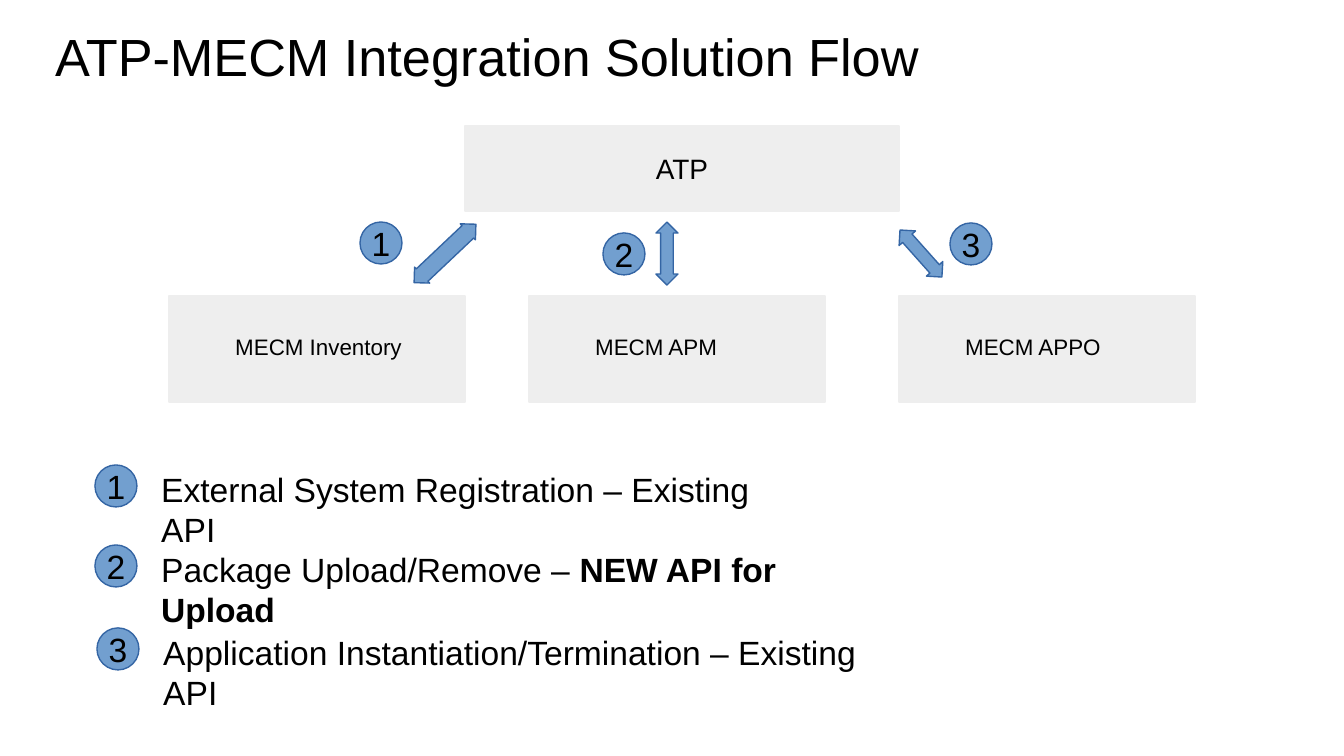
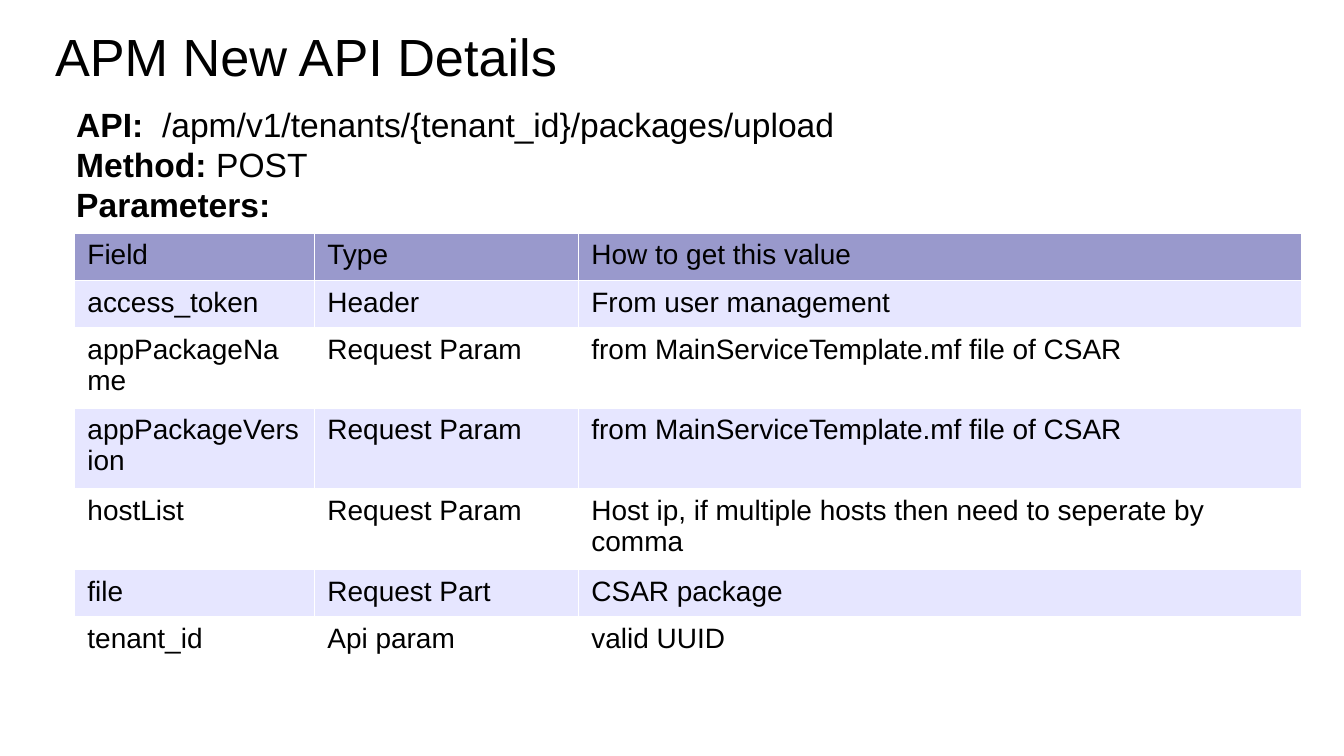
from dataclasses import dataclass
from typing import NamedTuple

from lxml.etree import SubElement
from pptx import Presentation
from pptx.dml.color import RGBColor
from pptx.enum.shapes import MSO_SHAPE
from pptx.enum.text import MSO_ANCHOR, MSO_AUTO_SIZE, PP_ALIGN
from pptx.oxml.ns import qn
from pptx.util import Emu, Pt

DPI = 134.4


def px(n: float) -> Emu:
    """Turn pixels into EMU."""
    return Emu(round(n * 914400 / DPI))


@dataclass(frozen=True)
class Theme:
    font: str = "Arial"
    ink: str = "000000"
    panel: str = "EEEEEE"
    blue: str = "729FCF"
    edge: str = "3465A4"
    head: str = "9999CC"
    band: str = "E6E6FF"
    paper: str = "FFFFFF"
    title: float = 28
    body: float = 18
    cell: float = 15
    label: float = 12
    line: float = 0.75


THEME = Theme()


class Box(NamedTuple):
    x: int
    y: int
    w: int
    h: int

    def emu(self) -> list[Emu]:
        return [px(n) for n in self]


class Span(NamedTuple):
    text: str
    bold: bool = False


class Arrow(NamedTuple):
    box: Box
    turn: float


class Badge(NamedTuple):
    num: int
    x: int
    y: int


class Step(NamedTuple):
    badge: Badge
    width: int
    spans: list[Span]


# Text and shape helpers
def style(para, size: float) -> None:
    font = para.font
    font.name, font.size = THEME.font, Pt(size)
    font.color.rgb = RGBColor.from_string(THEME.ink)


def write(frame, lines: list[list[Span]], size: float) -> None:
    for i, spans in enumerate(lines):
        para = frame.add_paragraph() if i else frame.paragraphs[0]
        style(para, size)
        for span in spans:
            run = para.add_run()
            run.text = span.text
            if span.bold:
                run.font.bold = True


def add_text(slide, box: Box, lines: list[list[Span]], size: float) -> None:
    frame = slide.shapes.add_textbox(*box.emu()).text_frame
    frame.word_wrap = True
    write(frame, lines, size)


def add_form(slide, kind: MSO_SHAPE, box: Box, fill: str, edge: str):
    form = slide.shapes.add_shape(kind, *box.emu())
    form.shadow.inherit = False
    form.fill.solid()
    form.fill.fore_color.rgb = RGBColor.from_string(fill)
    form.line.color.rgb = RGBColor.from_string(edge)
    form.line.width = Pt(THEME.line)
    return form


def center(form, text: str, size: float, wrap: bool = True) -> None:
    frame = form.text_frame
    frame.word_wrap = wrap
    frame.vertical_anchor = MSO_ANCHOR.MIDDLE
    write(frame, [[Span(text)]], size)
    frame.paragraphs[0].alignment = PP_ALIGN.CENTER


def add_panel(slide, box: Box):
    return add_form(slide, MSO_SHAPE.RECTANGLE, box, THEME.panel, THEME.panel)


def add_badge(slide, badge: Badge) -> None:
    box = Box(badge.x, badge.y, 42, 42)
    form = add_form(slide, MSO_SHAPE.OVAL, box, THEME.blue, THEME.edge)
    center(form, str(badge.num), THEME.body, wrap=False)


def add_arrow(slide, arrow: Arrow) -> None:
    box = arrow.box
    form = add_form(slide, MSO_SHAPE.UP_DOWN_ARROW, box, THEME.blue, THEME.edge)
    form.adjustments[0] = 0.5
    form.adjustments[1] = 0.2 * box.h / box.w  # each head is a fifth of the length
    form.rotation = arrow.turn


def add_slide(deck, title: str):
    slide = deck.slides.add_slide(deck.slide_layouts[5])
    head = slide.shapes.title
    head.left, head.top, head.width, head.height = Box(42, 11, 1253, 83).emu()
    frame = head.text_frame
    frame.word_wrap = True
    frame.auto_size = MSO_AUTO_SIZE.NONE
    frame.vertical_anchor = MSO_ANCHOR.TOP
    frame.margin_left = frame.margin_right = px(13)
    frame.margin_top = frame.margin_bottom = px(13)
    write(frame, [[Span(title)]], THEME.title)
    frame.paragraphs[0].alignment = PP_ALIGN.LEFT
    return slide


# Table helpers
def add_edges(cell) -> None:
    props = cell._tc.get_or_add_tcPr()
    for side in ("lnL", "lnR", "lnT", "lnB"):
        line = SubElement(props, qn(f"a:{side}"), w=str(Pt(0.06)))
        fill = SubElement(line, qn("a:solidFill"))
        SubElement(fill, qn("a:srgbClr"), val=THEME.paper)


def add_grid(slide, x: int, y: int, cols: list[int], rows: list[int],
             data: list[tuple[str, ...]]) -> None:
    box = Box(x, y, sum(cols), sum(rows))
    table = slide.shapes.add_table(len(rows), len(cols), *box.emu()).table
    table.first_row = table.horz_banding = False
    for col, width in zip(table.columns, cols):
        col.width = px(width)
    for r, (row, height, texts) in enumerate(zip(table.rows, rows, data)):
        row.height = px(height)
        shade = THEME.band if r % 2 else THEME.paper
        for cell, text in zip(row.cells, texts):
            add_edges(cell)
            cell.fill.solid()
            cell.fill.fore_color.rgb = RGBColor.from_string(shade if r else THEME.head)
            write(cell.text_frame, [[Span(text)]], THEME.cell)


# Slide 1: solution flow
PARTS = {"MECM Inventory": 169, "MECM APM": 529, "MECM APPO": 899}
ARROWS = [
    Arrow(Box(434, 211, 22, 85), 46.6),
    Arrow(Box(656, 222, 22, 63), 0),
    Arrow(Box(910, 222, 22, 63), 318.3),
]
MARKS = [Badge(1, 360, 222), Badge(2, 603, 233), Badge(3, 950, 223)]
STEPS = [
    Step(Badge(1, 95, 465), 675,
         [Span("External System Registration – Existing API")]),
    Step(Badge(2, 95, 545), 763,
         [Span("Package Upload/Remove – "), Span("NEW API for Upload", True)]),
    Step(Badge(3, 97, 628), 780,
         [Span("Application Instantiation/Termination – Existing API")]),
]


def draw_flow(deck) -> None:
    slide = add_slide(deck, "ATP-MECM Integration Solution Flow")
    center(add_panel(slide, Box(465, 126, 434, 85)), "ATP", THEME.cell)
    for name, x in PARTS.items():
        add_panel(slide, Box(x, 296, 296, 106))
        add_text(slide, Box(x + 53, 327, 211, 38), [[Span(name)]], THEME.label)
    for arrow in ARROWS:
        add_arrow(slide, arrow)
    for mark in MARKS:
        add_badge(slide, mark)
    # Numbered legend
    for step in STEPS:
        mark = step.badge
        add_badge(slide, mark)
        box = Box(mark.x + 53, mark.y - 3, step.width, 51)
        add_text(slide, box, [step.spans], THEME.body)


# Slide 2: API details
INTRO = [
    [Span("API:", True), Span("  /apm/v1/tenants/{tenant_id}/packages/upload")],
    [Span("Method: ", True), Span("POST")],
    [Span("Parameters:", True)],
]
FIELDS = [
    ("Field", "Type", "How to get this value"),
    ("access_token", "Header", "From user management"),
    ("appPackageName", "Request Param", "from MainServiceTemplate.mf file of CSAR"),
    ("appPackageVersion", "Request Param", "from MainServiceTemplate.mf file of CSAR"),
    ("hostList", "Request Param",
     "Host ip, if multiple hosts then need to seperate by comma"),
    ("file", "Request Part", "CSAR package"),
    ("tenant_id", "Api param", "valid UUID"),
]
ONE, TWO = 45, 76  # row heights for one and two lines


def draw_api(deck) -> None:
    slide = add_slide(deck, "APM New API Details")
    add_text(slide, Box(63, 97, 1164, 164), INTRO, THEME.body)
    rows = [ONE] * 2 + [TWO] * 3 + [ONE] * 2
    add_grid(slide, 74, 233, [240, 264, 723], rows, FIELDS)


def main() -> None:
    deck = Presentation()
    deck.slide_width, deck.slide_height = px(1344), px(756)
    draw_flow(deck)
    draw_api(deck)
    deck.save("out.pptx")


main()
